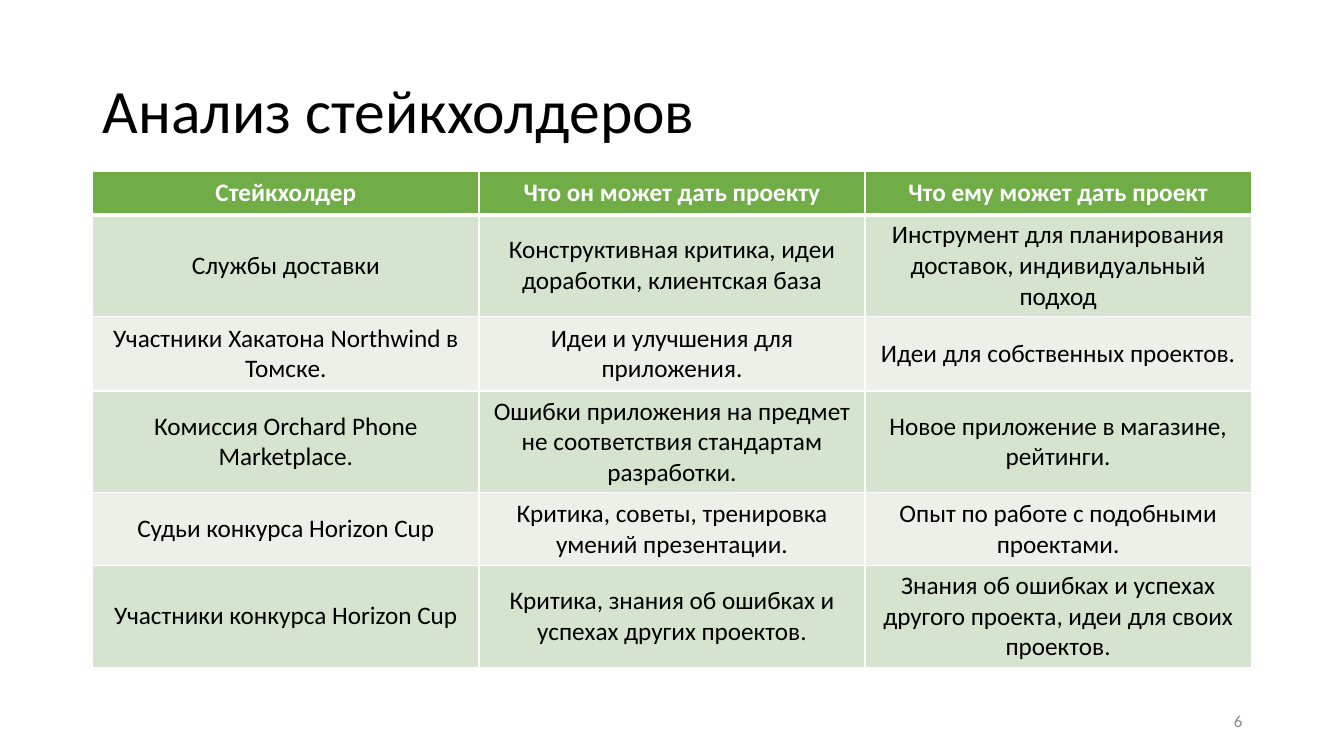
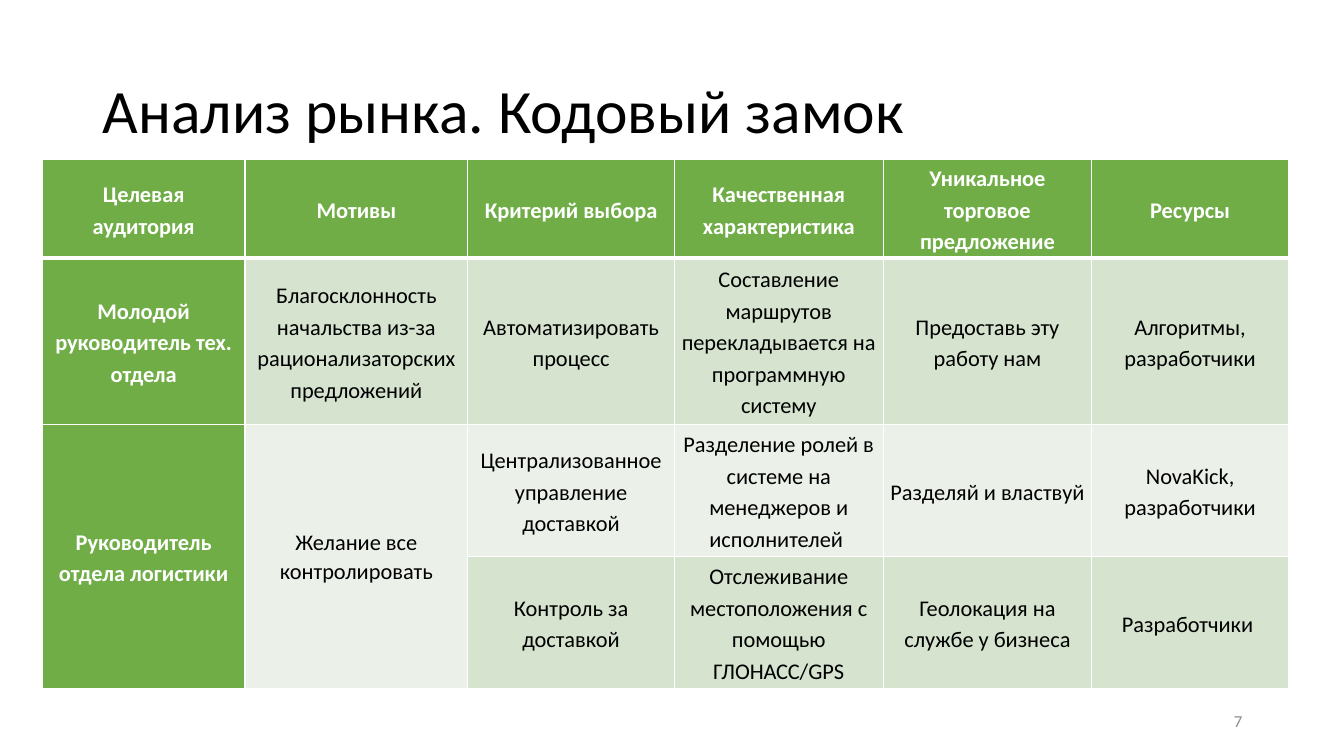
from lxml import etree
from pptx import Presentation
from pptx import util as u
from pptx.dml.color import RGBColor
from pptx.enum import text
from pptx.oxml import ns

FONT = "Calibri"
BLACK = RGBColor(0x00, 0x00, 0x00)
WHITE = RGBColor(0xFF, 0xFF, 0xFF)
GRAY = RGBColor(0x8C, 0x8C, 0x8C)
GREEN = RGBColor(0x70, 0xAD, 0x47)
BANDS = (RGBColor(0xD5, 0xE3, 0xCF), RGBColor(0xEB, 0xF1, 0xE9))

TITLE_BOX = (0.92, 0.4, 11.5, 1.45)
NUMBER_BOX = (9.42, 6.95, 3, 0.4)

STAKEHOLDERS = [
    ["Стейкхолдер", "Что он может дать проекту", "Что ему может дать проект"],
    ["Службы доставки", "Конструктивная критика, идеи доработки, клиентская база",
     "Инструмент для планирования доставок, индивидуальный подход"],
    ["Участники Хакатона Northwind в Томске.", "Идеи и улучшения для приложения.",
     "Идеи для собственных проектов."],
    ["Комиссия Orchard Phone Marketplace.",
     "Ошибки приложения на предмет не соответствия стандартам разработки.",
     "Новое приложение в магазине, рейтинги."],
    ["Судьи конкурса Horizon Cup", "Критика, советы, тренировка умений презентации.",
     "Опыт по работе с подобными проектами."],
    ["Участники конкурса Horizon Cup", "Критика, знания об ошибках и успехах других проектов.",
     "Знания об ошибках и успехах другого проекта, идеи для своих проектов."],
]

MARKET = [
    ["Целевая аудитория", "Мотивы", "Критерий выбора", "Качественная характеристика",
     "Уникальное торговое предложение", "Ресурсы"],
    ["Молодой руководитель тех. отдела",
     "Благосклонность начальства из-за рационализаторских предложений",
     "Автоматизировать процесс",
     "Составление маршрутов перекладывается на программную систему",
     "Предоставь эту работу нам", "Алгоритмы, разработчики"],
    ["Руководитель отдела логистики", "Желание все контролировать",
     "Централизованное управление доставкой",
     "Разделение ролей в системе на менеджеров и исполнителей ",
     "Разделяй и властвуй ", "NovaKick, разработчики"],
    [None, None, "Контроль за доставкой",
     "Отслеживание местоположения с помощью ГЛОНАСС/GPS",
     "Геолокация на службе у бизнеса", "Разработчики "],
]


def write(frame, words, size, color, align, spacing=1.0, bold=False):
    """Put one formatted run into the first paragraph of a text frame."""
    paragraph = frame.paragraphs[0]
    paragraph.alignment = align
    paragraph.line_spacing = spacing
    run = paragraph.add_run()
    run.text = words
    run.font.name = FONT
    run.font.size = u.Pt(size)
    run.font.bold = bold
    run.font.color.rgb = color


def add_label(slide, box, words, size, color, align, spacing=1.0):
    """Add a wrapped, vertically centred text box."""
    frame = slide.shapes.add_textbox(*map(u.Inches, box)).text_frame
    frame.word_wrap = True
    frame.vertical_anchor = text.MSO_ANCHOR.MIDDLE
    write(frame, words, size, color, align, spacing)


def add_titled_slide(presentation, title, number):
    """Add a blank slide with the shared title and page number."""
    slide = presentation.slides.add_slide(presentation.slide_layouts[6])
    add_label(slide, TITLE_BOX, title, 44, BLACK, text.PP_ALIGN.LEFT, 0.9)
    add_label(slide, NUMBER_BOX, str(number), 12, GRAY, text.PP_ALIGN.RIGHT)
    return slide


def set_borders(cell, top, bottom):
    """Draw white cell borders with the given top and bottom widths in points."""
    properties = cell._tc.get_or_add_tcPr()
    for side, width in (("L", 1), ("R", 1), ("T", top), ("B", bottom)):
        line = etree.SubElement(properties, ns.qn("a:ln" + side), w=str(u.Pt(width)))
        fill = etree.SubElement(line, ns.qn("a:solidFill"))
        etree.SubElement(fill, ns.qn("a:srgbClr"), val=str(WHITE))


def add_banded_table(slide, origin, widths, heights, rows, size,
                     spacing=1.0, margins=(0.1, 0.05), header_column=False):
    """Add a table with a green header and alternating row bands."""
    box = (*origin, sum(widths), sum(heights))
    table = slide.shapes.add_table(len(rows), len(widths), *map(u.Inches, box)).table
    for column, width in zip(table.columns, widths):
        column.width = u.Inches(width)
    for row, height in zip(table.rows, heights):
        row.height = u.Inches(height)
    for i, row in enumerate(rows):
        for j, words in enumerate(row):
            cell = table.cell(i, j)
            is_header = i == 0 or (header_column and j == 0)
            set_borders(cell, 3 if i == 1 else 1, 3 if i == 0 else 1)
            cell.fill.solid()
            cell.fill.fore_color.rgb = GREEN if is_header else BANDS[(i - 1) % 2]
            cell.vertical_anchor = text.MSO_ANCHOR.MIDDLE
            cell.margin_left = cell.margin_right = u.Inches(margins[0])
            cell.margin_top = cell.margin_bottom = u.Inches(margins[1])
            if words:
                write(cell.text_frame, words, size, WHITE if is_header else BLACK,
                      text.PP_ALIGN.CENTER, spacing, is_header)
    return table


def build_stakeholders(presentation):
    """Build the stakeholder analysis slide."""
    slide = add_titled_slide(presentation, "Анализ стейкхолдеров", 6)
    add_banded_table(slide, (0.92, 1.7), [3.83] * 3,
                     [0.43, 1.01, 0.74, 1.01, 0.72, 1.01], STAKEHOLDERS, 18)


def build_market(presentation):
    """Build the market analysis slide."""
    slide = add_titled_slide(presentation, "Анализ рынка. Кодовый замок", 7)
    table = add_banded_table(slide, (0.42, 1.58), [2.01, 2.21, 2.05, 2.07, 2.07, 1.95],
                             [0.98, 1.65, 1.31, 1.31], MARKET, 16,
                             1.15, (0.07, 0), header_column=True)
    for column in range(2):
        table.cell(2, column).merge(table.cell(3, column))
    table.cell(2, 1).text_frame.paragraphs[0].line_spacing = 1.07


def main():
    """Build and save the presentation."""
    presentation = Presentation()
    presentation.slide_width = u.Inches(13.33)
    presentation.slide_height = u.Inches(7.5)
    build_stakeholders(presentation)
    build_market(presentation)
    presentation.save("out.pptx")


if __name__ == "__main__":
    main()
